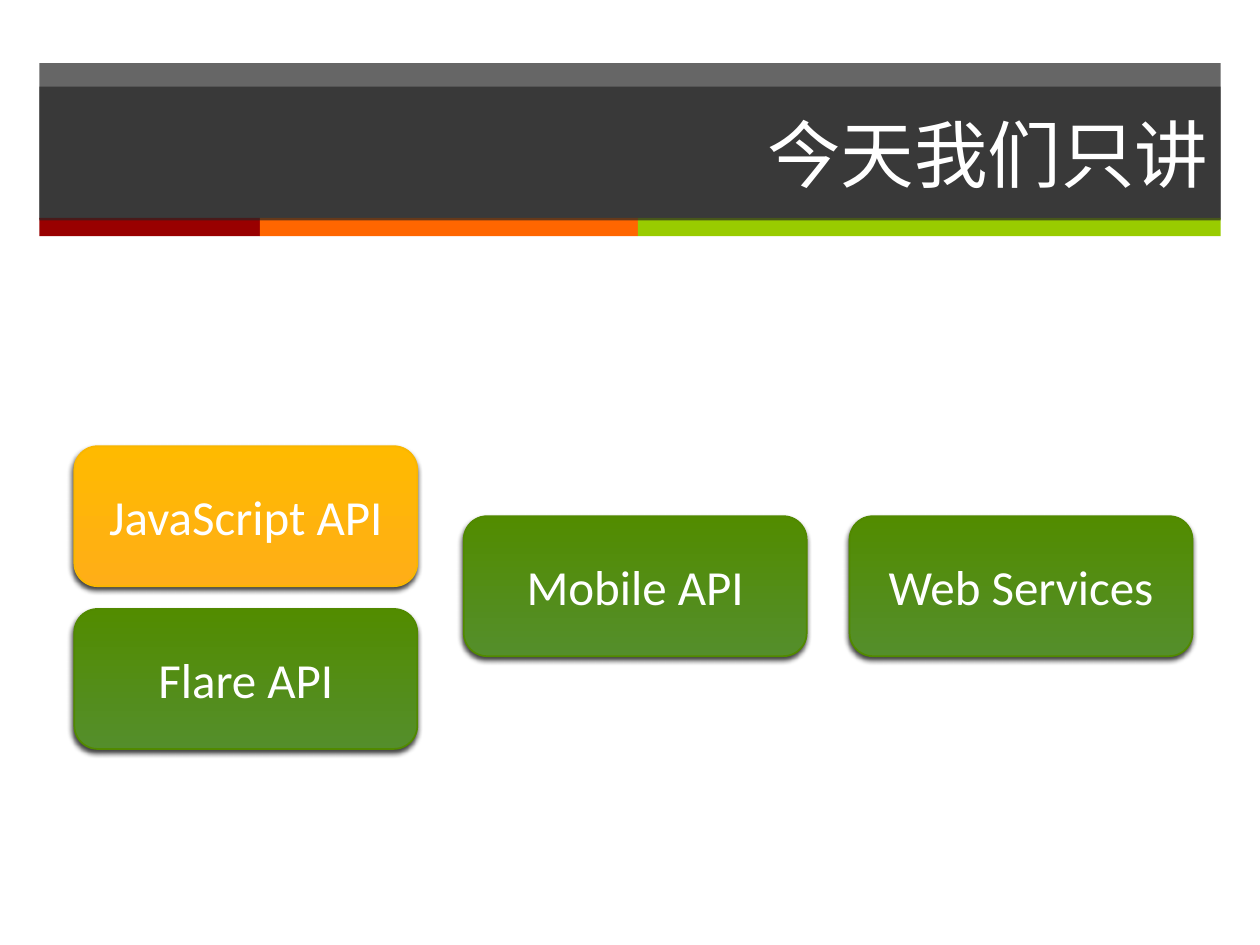
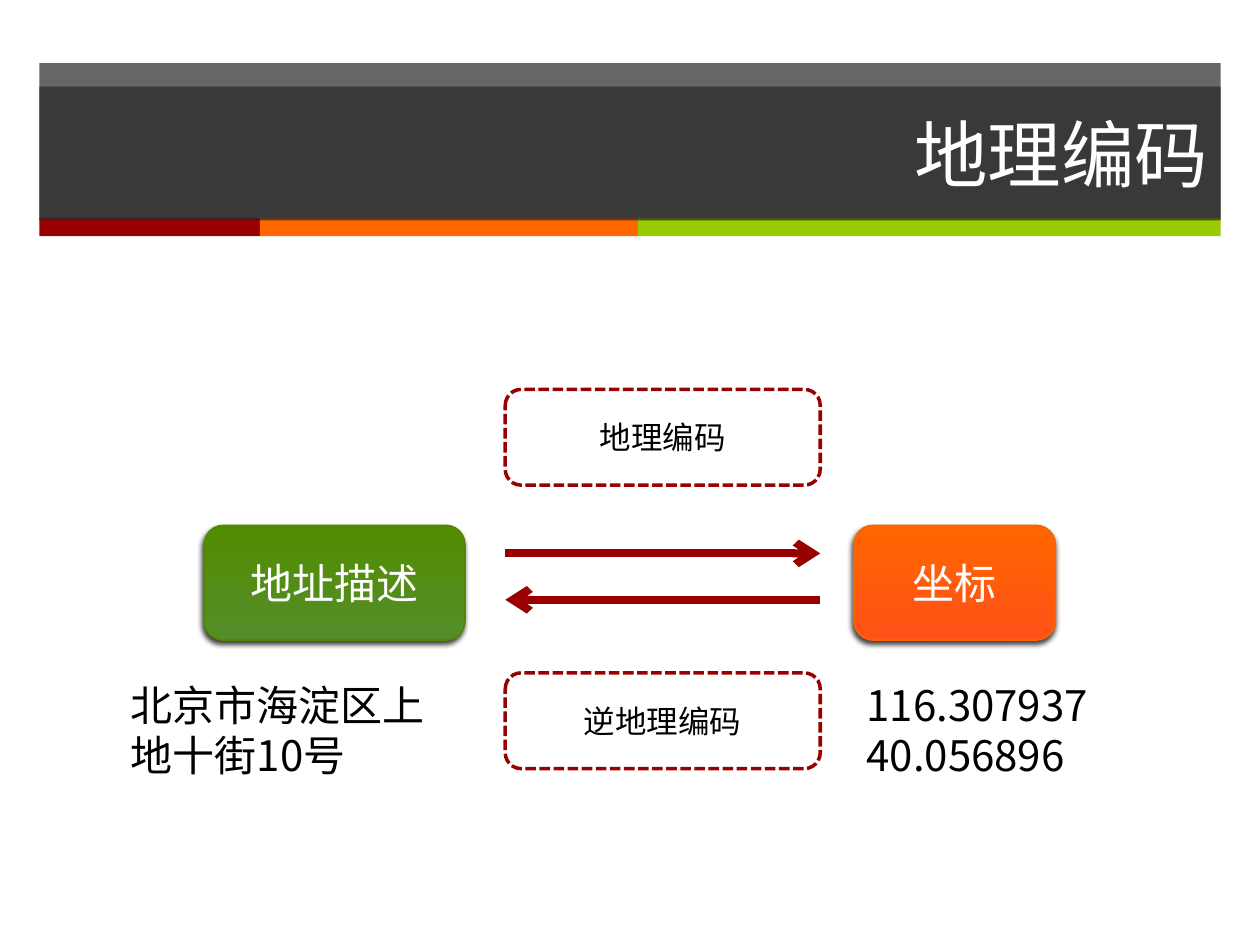
"""Build two slides: the interfaces covered today, and geocoding."""
import pptx
import pptx.dml.color
import pptx.enum.dml
import pptx.enum.shapes
import pptx.enum.text
import pptx.oxml
import pptx.oxml.ns
import pptx.util
from dataclasses import dataclass

Pt = pptx.util.Pt
SHAPE = pptx.enum.shapes.MSO_SHAPE
ALIGN = pptx.enum.text.PP_ALIGN
ANCHOR = pptx.enum.text.MSO_ANCHOR
NS = pptx.oxml.ns.nsdecls("a")


@dataclass(frozen=True)
class Theme:
    latin = "Calibri"
    cjk = "Noto Sans CJK SC"
    title, api, body, note = 42, 28, 24, 18
    white, black, band, red = "FFFFFF", "000000", "262626", "990000"
    green = ("548E2B", "528C00", "518900")
    amber = ("FFAE17", "FFBA00", "F9B600")
    orange = ("FF5217", "FF6600", "F96400")


T = Theme()
LEFT, WIDTH = 22.5, 675
STRIPES = [(126, "990000"), (216, "FF6600"), (333, "99CC00")]

API_TITLE = "今天我们只讲"
API_SIZE, API_STEP = (196, 80), 93
API_COLUMNS = [
    (42.5, 255, [("JavaScript API", T.amber), ("Flare API", T.green)]),
    (265, 295, [("Mobile API", T.green)]),
    (485.5, 295, [("Web Services", T.green)]),
]

GEO_TITLE = "地理编码"
ENDS_TOP, ENDS_HEIGHT = 300.25, 65.5
ENDS = [("地址描述", 116.75, 149, T.green), ("坐标", 488, 115, T.orange)]
MIDDLE_LEFT, MIDDLE_WIDTH, MIDDLE_HEIGHT = 288.75, 180, 54.75
NOTES_TOP = 384.5
PROCESSES = [("地理编码", 222.5), ("逆地理编码", NOTES_TOP)]
ARROWS = [(316.25, True), (342.75, False)]
EXAMPLES = [
    (["北京市海淀区上地十街10号"], 67.75, 198, True),
    (["116.307937", "40.056896"], 488, 143, False),
]


def rgb(color):
    return pptx.dml.color.RGBColor.from_string(color)


def apply(target, values):
    for name, value in values.items():
        setattr(target, name, value)


def add_xml(parent, xml):
    parent.append(pptx.oxml.parse_xml(xml))


def write(sp, lines, size, color, font, align, **frame):
    tf = sp.text_frame
    apply(tf, {"word_wrap": True, "vertical_anchor": ANCHOR.MIDDLE, **frame})
    for i, line in enumerate(lines):
        p = tf.paragraphs[0] if i == 0 else tf.add_paragraph()
        p.alignment = align
        r = p.add_run()
        r.text = line
        apply(r.font, {"name": font, "size": Pt(size)})
        r.font.color.rgb = rgb(color)
        add_xml(r.font._element, f'<a:ea {NS} typeface="{T.cjk}"/>')


def add_box(s, kind, x, y, w, h, fill, alpha=None):
    sp = s.shapes.add_shape(kind, Pt(x), Pt(y), Pt(w), Pt(h))
    sp.shadow.inherit = False
    sp.fill.solid()
    sp.fill.fore_color.rgb = rgb(fill)
    sp.line.fill.background()
    if alpha:
        clr = sp._element.spPr.find(".//" + pptx.oxml.ns.qn("a:srgbClr"))
        add_xml(clr, f'<a:alpha {NS} val="{alpha * 1000}"/>')
    return sp


def outline(sp, color, width):
    sp.line.color.rgb = rgb(color)
    sp.line.width = Pt(width)


def add_button(s, label, x, y, w, h, palette, size, font):
    bottom, top, edge = palette
    sp = add_box(s, SHAPE.ROUNDED_RECTANGLE, x, y, w, h, top)
    sp.fill.gradient()
    sp.fill.gradient_angle = 90
    for stop, color, position in zip(sp.fill.gradient_stops, (bottom, top), (0, 1)):
        stop.color.rgb = rgb(color)
        stop.position = position
    outline(sp, edge, 1)
    effects = sp._element.spPr.find(pptx.oxml.ns.qn("a:effectLst"))
    add_xml(effects, f'<a:outerShdw {NS} blurRad="{Pt(3)}" dist="{Pt(2)}" dir="6600000" '
                     f'rotWithShape="0"><a:srgbClr val="{T.black}"><a:alpha val="75000"/>'
                     '</a:srgbClr></a:outerShdw>')
    write(sp, [label], size, T.white, font, ALIGN.CENTER)


def add_arrow(s, y, rightward):
    x1, x2 = MIDDLE_LEFT, MIDDLE_LEFT + MIDDLE_WIDTH
    if not rightward:
        x1, x2 = x2, x1
    line = s.shapes.add_connector(pptx.enum.shapes.MSO_CONNECTOR.STRAIGHT,
                                  Pt(x1), Pt(y), Pt(x2), Pt(y))
    outline(line, T.red, 4.5)
    add_xml(line.line._get_or_add_ln(), f'<a:tailEnd {NS} type="arrow"/>')
    add_xml(line._element.spPr, f"<a:effectLst {NS}/>")


def add_slide(prs, title):
    s = prs.slides.add_slide(prs.slide_layouts[6])
    add_box(s, SHAPE.RECTANGLE, LEFT, 36, WIDTH, 89.25, T.band, 70)
    x = LEFT
    for width, color in STRIPES:
        add_box(s, SHAPE.RECTANGLE, x, 124.5, width, 10.5, color)
        x += width
    sp = add_box(s, SHAPE.RECTANGLE, LEFT, 49.5, WIDTH, 76.5, T.band, 70)
    write(sp, [title], T.title, T.white, T.cjk, ALIGN.RIGHT)
    return s


def build_apis(prs):
    s = add_slide(prs, API_TITLE)
    for x, top, items in API_COLUMNS:
        for row, (label, palette) in enumerate(items):
            add_button(s, label, x, top + row * API_STEP, *API_SIZE, palette, T.api, T.latin)


def build_geocoding(prs):
    s = add_slide(prs, GEO_TITLE)
    for label, x, w, palette in ENDS:
        add_button(s, label, x, ENDS_TOP, w, ENDS_HEIGHT, palette, T.body, T.cjk)
    for y, rightward in ARROWS:
        add_arrow(s, y, rightward)
    for label, y in PROCESSES:
        sp = add_box(s, SHAPE.ROUNDED_RECTANGLE, MIDDLE_LEFT, y, MIDDLE_WIDTH,
                     MIDDLE_HEIGHT, T.white)
        outline(sp, T.red, 2)
        sp.line.dash_style = pptx.enum.dml.MSO_LINE.SQUARE_DOT
        write(sp, [label], T.note, T.black, T.latin, ALIGN.CENTER)
    for lines, x, w, wrap in EXAMPLES:
        sp = s.shapes.add_textbox(Pt(x), Pt(NOTES_TOP), Pt(w), Pt(ENDS_HEIGHT))
        write(sp, lines, T.body, T.black, T.cjk, ALIGN.LEFT, word_wrap=wrap,
              vertical_anchor=ANCHOR.TOP,
              auto_size=pptx.enum.text.MSO_AUTO_SIZE.SHAPE_TO_FIT_TEXT)


def main():
    prs = pptx.Presentation()
    apply(prs, {"slide_width": Pt(720), "slide_height": Pt(540)})
    build_apis(prs)
    build_geocoding(prs)
    prs.save("out.pptx")


if __name__ == "__main__":
    main()
